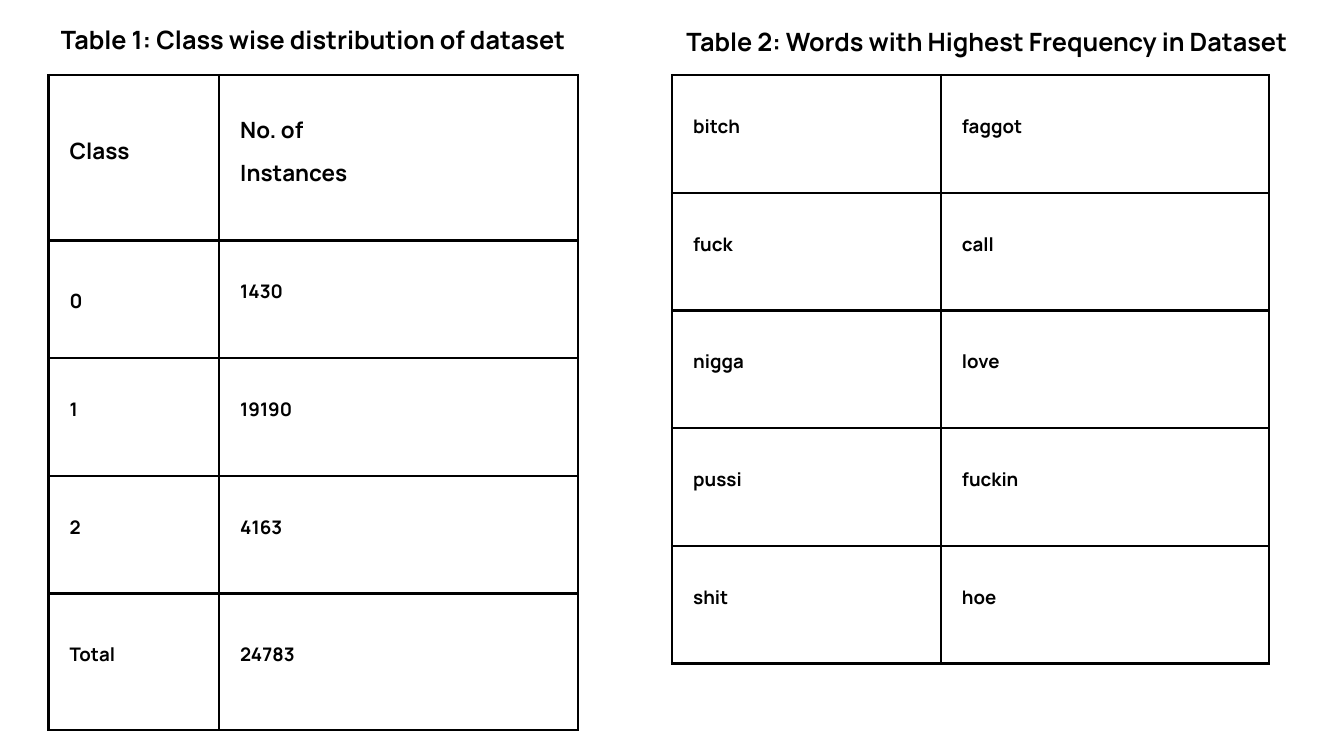
from lxml import etree
from pptx import Presentation
from pptx import util as u
from pptx.dml.color import RGBColor
from pptx.enum import text
from pptx.oxml.ns import qn

COLORS = {"ink": "000000", "paper": "FFFFFF"}
FONT = "Manrope"
TABLE_TOP = 2.84
ROW = 4.45
CELL_FORMAT = {
    "margin_left": u.Cm(0.8),
    "margin_right": u.Cm(0.53),
    "margin_top": u.Cm(0.53),
    "margin_bottom": u.Cm(1.5),
    "vertical_anchor": text.MSO_ANCHOR.MIDDLE,
}

CLASS_COUNTS = [
    ("Class", "No. of\nInstances"),
    ("0", "1430"),
    ("1", "19190"),
    ("2", "4163"),
    ("Total", "24783"),
]
FREQUENT_WORDS = [
    ("bitch", "faggot"),
    ("fuck", "call"),
    ("nigga", "love"),
    ("pussi", "fuckin"),
    ("shit", "hoe"),
]


def apply_format(target, values):
    for name, value in values.items():
        setattr(target, name, value)


def write(frame, wording, size, spacing, align):
    frame.text = wording
    for paragraph in frame.paragraphs:
        apply_format(paragraph, {"line_spacing": spacing, "alignment": align})
        apply_format(paragraph.font, {"name": FONT, "size": u.Pt(size), "bold": True})
        paragraph.font.color.rgb = RGBColor.from_string(COLORS["ink"])


def add_borders(cell, width=3):
    properties = cell._tc.get_or_add_tcPr()
    for side in ("a:lnL", "a:lnR", "a:lnT", "a:lnB"):
        line = etree.SubElement(properties, qn(side), w=str(u.Pt(width)))
        fill = etree.SubElement(line, qn("a:solidFill"))
        etree.SubElement(fill, qn("a:srgbClr"), val=COLORS["ink"])


def add_caption(slide, wording, left, top, width, height=1.22):
    box = slide.shapes.add_textbox(u.Cm(left), u.Cm(top), u.Cm(width), u.Cm(height))
    frame = box.text_frame
    margins = ("margin_left", "margin_right", "margin_top", "margin_bottom")
    apply_format(frame, {"word_wrap": True, **dict.fromkeys(margins, 0)})
    write(frame, wording, 27, 1.2, text.PP_ALIGN.CENTER)


def add_grid(slide, records, left, top, columns, heights, header_size=20):
    """Place a ruled table and return it; header_size applies to the first row."""
    table = slide.shapes.add_table(
        len(records), len(columns), u.Cm(left), u.Cm(top),
        u.Cm(sum(columns)), u.Cm(sum(heights))).table
    apply_format(table, {"first_row": False, "horz_banding": False})
    for column, width in zip(table.columns, columns):
        column.width = u.Cm(width)
    for r, (record, height) in enumerate(zip(records, heights)):
        table.rows[r].height = u.Cm(height)
        for c, wording in enumerate(record):
            cell = table.cell(r, c)
            apply_format(cell, CELL_FORMAT)
            add_borders(cell)
            cell.fill.solid()
            cell.fill.fore_color.rgb = RGBColor.from_string(COLORS["paper"])
            size = header_size if r == 0 else 20
            write(cell.text_frame, wording, size, 1.4, text.PP_ALIGN.LEFT)
    return table


def add_class_distribution(slide, left, top):
    add_caption(slide, "Table 1: Class wise distribution of dataset",
                left, top - 2.13, 20.01)
    table = add_grid(slide, CLASS_COUNTS, left, top, [6.45, 13.56],
                     [6.25, ROW, ROW, ROW, 5.16], header_size=24)
    zero = table.cell(1, 0)
    zero.margin_bottom = u.Cm(0.8)
    zero.text_frame.paragraphs[0].font.size = u.Pt(21)


def add_frequent_words(slide, left, top):
    add_caption(slide, "Table 2: Words with Highest Frequency in Dataset",
                left - 4, top - 2.08, 31.8)
    add_grid(slide, FREQUENT_WORDS, left, top, [10.16, 12.4],
             [ROW] * len(FREQUENT_WORDS))


def main():
    deck = Presentation()
    apply_format(deck, {"slide_width": u.Cm(50.8), "slide_height": u.Cm(28.58)})
    slide = deck.slides.add_slide(deck.slide_layouts[6])
    add_class_distribution(slide, 1.83, TABLE_TOP)
    add_frequent_words(slide, 25.4, TABLE_TOP)
    deck.save("out.pptx")


if __name__ == "__main__":
    main()
